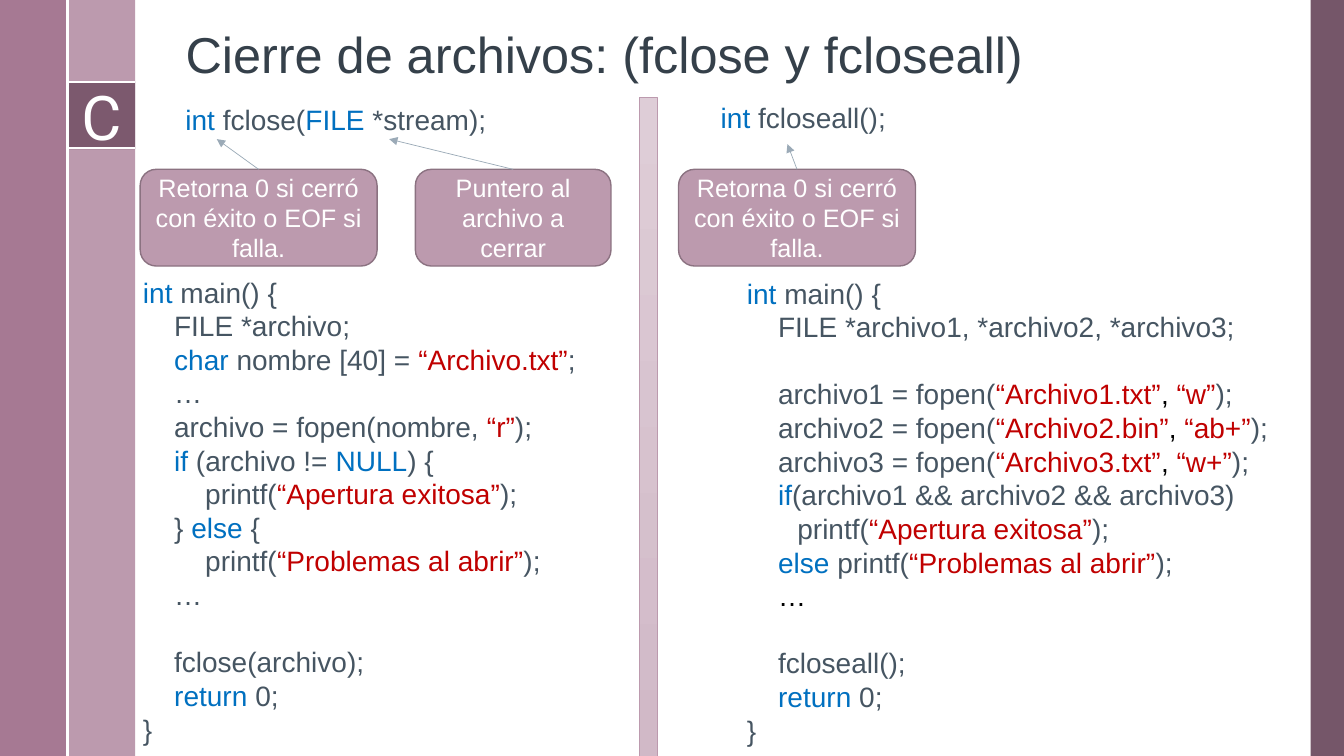
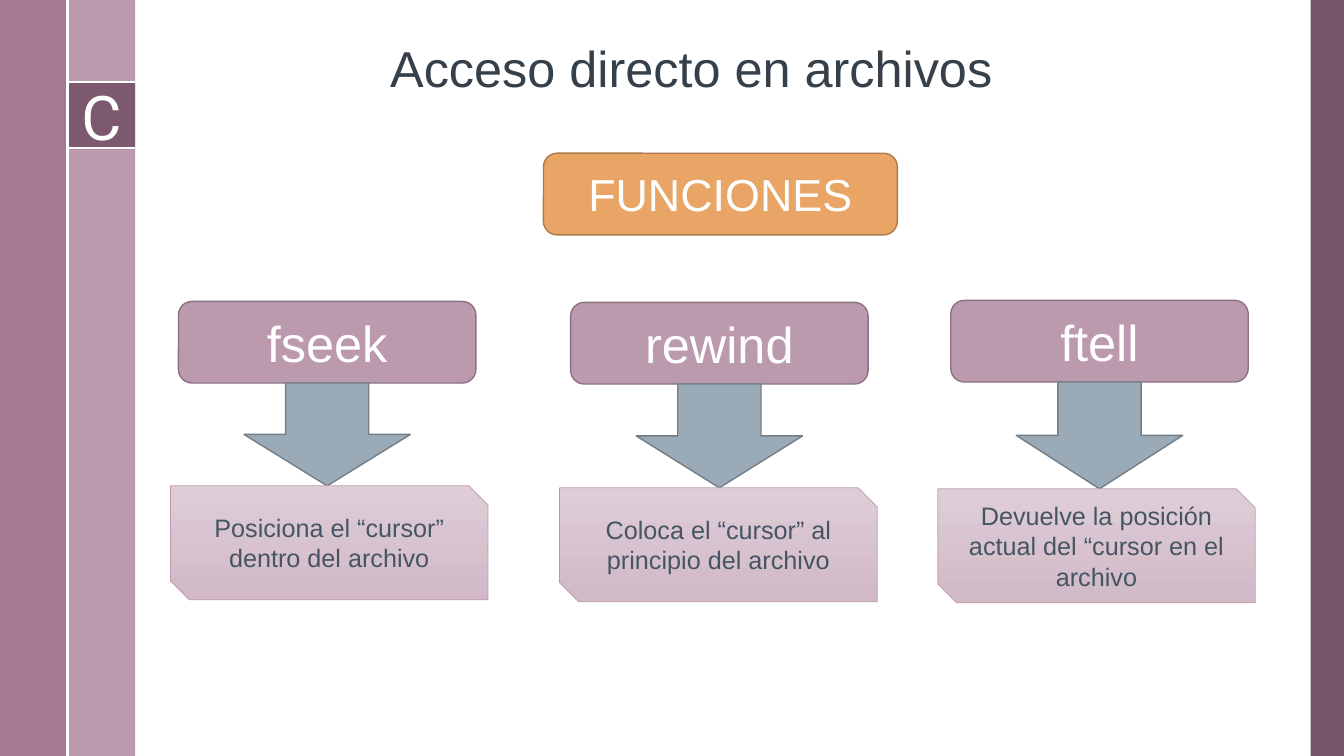
from lxml import etree
from pptx import Presentation
from pptx.dml.color import RGBColor
from pptx.enum.shapes import MSO_CONNECTOR, MSO_SHAPE
from pptx.enum.text import MSO_ANCHOR, PP_ALIGN
from pptx.oxml.ns import qn
from pptx.util import Inches, Pt

RECTANGLE = MSO_SHAPE.RECTANGLE
ROUNDED = MSO_SHAPE.ROUNDED_RECTANGLE
DOWN_ARROW = MSO_SHAPE.DOWN_ARROW
SNIPPED = MSO_SHAPE.SNIP_2_DIAG_RECTANGLE
STRAIGHT = MSO_CONNECTOR.STRAIGHT
TOP, MIDDLE, BOTTOM = MSO_ANCHOR.TOP, MSO_ANCHOR.MIDDLE, MSO_ANCHOR.BOTTOM
LEFT, CENTER = PP_ALIGN.LEFT, PP_ALIGN.CENTER

SLIDE_WIDTH, SLIDE_HEIGHT = 13.33, 7.5
BAND = 0.67
FONT = "Arial"
WHITE, BLACK = "FFFFFF", "000000"
TITLE_COLOR, TEXT_COLOR = "35404A", "465562"
KEYWORD, STRING = "0070C0", "C00000"
MAUVE, MAUVE_EDGE = "BC9AAE", "8B7281"
ROSE, PLUM = "9A6785", "674459"
ORANGE, ORANGE_EDGE = "E8A565", "AC7A4B"
SLATE, SLATE_EDGE = "9BAAB7", "737E87"
GRADIENT = ("DECDD7", "D1B9C7")

# Backticks enclose the colored parts of the code.
FCLOSE_CODE = """`int` main() {
    FILE *archivo;
    `char` nombre [40] = `“Archivo.txt”`;
    …
    archivo = fopen(nombre, `“r”`);
    `if` (archivo != `NULL`) {
        printf(`“Apertura exitosa”`);
    } `else` {
        printf(`“Problemas al abrir”`);
    …

    fclose(archivo);
    `return` 0;
}"""
FCLOSEALL_CODE = """`int` main() {
    FILE *archivo1, *archivo2, *archivo3;

    archivo1 = fopen(`“Archivo1.txt”``, ``“w”`);
    archivo2 = fopen(`“Archivo2.bin”``, ``“ab+”`);
    archivo3 = fopen(`“Archivo3.txt”``, ``“w+”`);
    `if`(archivo1 && archivo2 && archivo3)
\tprintf(`“Apertura exitosa”`);
    `else` printf(`“Problemas al abrir”`);
    `…`

    fcloseall();
    `return` 0;
}"""
RETURN_NOTE = "Retorna 0 si cerró con éxito o EOF si falla."


def rgb(color):
    return RGBColor.from_string(color)


def inches(box):
    return [Inches(length) for length in box]


def style_font(font, size, color, name=FONT):
    font.size, font.name = Pt(size), name
    font.color.rgb = rgb(color)


def add_block(shapes, kind, box, fill, edge=None, edge_width=1, alpha=None):
    """Add a shape; a pair of colors as fill gives a vertical gradient."""
    shape = shapes.add_shape(kind, *inches(box))
    shape.shadow.inherit = False
    if isinstance(fill, tuple):
        shape.fill.gradient()
        shape.fill.gradient_angle = 270
        for stop, color in zip(shape.fill.gradient_stops, fill):
            stop.color.rgb = rgb(color)
    else:
        shape.fill.solid()
        shape.fill.fore_color.rgb = rgb(fill)
    if alpha:
        color_element = shape.element.spPr.find(qn("a:solidFill"))[0]
        etree.SubElement(color_element, qn("a:alpha"), val=str(alpha * 1000))
    if edge:
        shape.line.color.rgb = rgb(edge)
        shape.line.width = Pt(edge_width)
    else:
        shape.line.fill.background()
    return shape


def set_label(shape, text, size, color=WHITE, font=FONT):
    frame = shape.text_frame
    frame.text = text
    frame.word_wrap = True
    frame.vertical_anchor = MIDDLE
    paragraph = frame.paragraphs[0]
    paragraph.alignment = CENTER
    style_font(paragraph.runs[0].font, size, color, font)


def add_line(shapes, start, end, color, width, arrow=False):
    line = shapes.add_connector(STRAIGHT, *inches(start + end))
    line.line.color.rgb = rgb(color)
    line.line.width = Pt(width)
    properties = line.element.spPr
    if arrow:
        etree.SubElement(properties.find(qn("a:ln")), qn("a:tailEnd"), type="triangle")
    etree.SubElement(properties, qn("a:effectLst"))
    return line


def add_frame(slide):
    """Draw the side bands and move them to the layout that the slides share."""
    shapes = slide.shapes
    chip_top, chip_bottom, right = 0.81, 1.47, 2 * BAND
    chip_box = (BAND, chip_top, BAND, BAND)
    parts = [
        add_block(shapes, RECTANGLE, (13, 0, 0.33, SLIDE_HEIGHT), PLUM, alpha=90),
        add_block(shapes, RECTANGLE, (BAND, 0, BAND, SLIDE_HEIGHT), MAUVE),
        add_block(shapes, RECTANGLE, (0, 0, BAND, SLIDE_HEIGHT), ROSE, alpha=88),
        add_block(shapes, RECTANGLE, chip_box, PLUM, alpha=75),
    ]
    set_label(parts[-1], "C", 44, font="Roboto")
    for start, end in (
        ((BAND, chip_top), (right, chip_top)),
        ((BAND, chip_bottom), (right, chip_bottom)),
        ((BAND, 0), (BAND, SLIDE_HEIGHT)),
    ):
        parts.append(add_line(shapes, start, end, WHITE, 1.5))
    for part in parts:
        slide.slide_layout.shapes.element.append(part.element)


def set_title(slide, text, box):
    title = slide.shapes.title
    title.left, title.top, title.width, title.height = inches(box)
    title.text_frame.text = text
    title.text_frame.vertical_anchor = BOTTOM
    paragraph = title.text_frame.paragraphs[0]
    paragraph.alignment = LEFT
    paragraph.line_spacing = 0.9
    style_font(paragraph.runs[0].font, 36, TITLE_COLOR)


def marked_color(text):
    if text.startswith("“"):
        return STRING
    return BLACK if text in (", ", "…") else KEYWORD


def add_code(shapes, code, box, size=20):
    """Write code lines; an empty line becomes space before the next one."""
    frame = shapes.add_textbox(*inches(box)).text_frame
    frame.word_wrap = True
    frame.vertical_anchor = TOP
    paragraph, gap = frame.paragraphs[0], 0
    for number, line in enumerate(code.split("\n")):
        if not line:
            gap = size * 1.2
            continue
        if number:
            paragraph = frame.add_paragraph()
            paragraph.space_before = Pt(gap)
        gap = 0
        for index, piece in enumerate(line.split("`")):
            if piece:
                run = paragraph.add_run()
                run.text = piece
                color = marked_color(piece) if index % 2 else TEXT_COLOR
                style_font(run.font, size, color)


def add_callout(shapes, text, left, width, target):
    """Add a note whose arrow rises from its top center to the target."""
    top = 1.68
    note = add_block(shapes, ROUNDED, (left, top, width, 0.96), MAUVE, MAUVE_EDGE)
    set_label(note, text, 18)
    add_line(shapes, (left + width / 2, top), target, SLATE, 0.5, arrow=True)


def add_function_column(slide, name, description, label_at, note_at):
    """Group a function name, an arrow and its description."""
    shapes = slide.shapes.add_group_shape().shapes
    label_width, label_height, arrow_width = 2.95, 0.81, 1.65
    label_left, label_top = label_at
    label_box = (label_left, label_top, label_width, label_height)
    label = add_block(shapes, ROUNDED, label_box, MAUVE, MAUVE_EDGE)
    set_label(label, name, 36)
    arrow_left = label_left + (label_width - arrow_width) / 2
    arrow_top = label_top + label_height
    arrow_box = (arrow_left, arrow_top, arrow_width, note_at[1] - arrow_top)
    add_block(shapes, DOWN_ARROW, arrow_box, SLATE, SLATE_EDGE)
    note = add_block(shapes, SNIPPED, note_at + (3.15, 1.13), GRADIENT, MAUVE, 0.5)
    set_label(note, description, 18, TEXT_COLOR)


def build_closing_slide(slide):
    shapes = slide.shapes
    set_title(slide, "Cierre de archivos: (fclose y fcloseall)", (1.74, 0.09, 10.7, 0.8))
    add_code(shapes, "`int` fclose(`FILE` *stream);", (1.74, 0.97, 3.6, 0.44))
    add_code(shapes, "`int` fcloseall();", (7.05, 0.95, 4.13, 0.44))
    add_callout(shapes, RETURN_NOTE, 1.39, 2.35, (2.15, 1.38))
    add_callout(shapes, "Puntero al archivo a cerrar", 4.12, 1.94, (3.86, 1.38))
    add_callout(shapes, RETURN_NOTE, 6.73, 2.35, (7.81, 1.43))
    add_code(shapes, FCLOSE_CODE, (1.32, 2.68, 4.94, 4.8))
    add_code(shapes, FCLOSEALL_CODE, (7.31, 2.69, 5.75, 4.8))
    add_block(shapes, RECTANGLE, (6.34, 0.97, 0.18, 6.53), GRADIENT, MAUVE, 0.5)


def build_functions_slide(slide):
    set_title(slide, "Acceso directo en archivos", (3.77, 0.23, 6.75, 0.8))
    heading_box = (5.39, 1.52, 3.51, 0.81)
    heading = add_block(slide.shapes, ROUNDED, heading_box, ORANGE, ORANGE_EDGE)
    set_label(heading, "FUNCIONES", 32)
    for column in (
        ("fseek", "Posiciona el “cursor” dentro del archivo", (1.77, 2.99), (1.69, 4.82)),
        ("rewind", "Coloca el “cursor” al principio del archivo", (5.66, 3), (5.55, 4.84)),
        ("ftell", "Devuelve la posición actual del “cursor en el archivo",
         (9.43, 2.98), (9.3, 4.85)),
    ):
        add_function_column(slide, *column)


def main():
    presentation = Presentation()
    presentation.slide_width = Inches(SLIDE_WIDTH)
    presentation.slide_height = Inches(SLIDE_HEIGHT)
    title_only = presentation.slide_layouts[5]
    closing_slide = presentation.slides.add_slide(title_only)
    add_frame(closing_slide)
    build_closing_slide(closing_slide)
    build_functions_slide(presentation.slides.add_slide(title_only))
    presentation.save("out.pptx")


if __name__ == "__main__":
    main()
